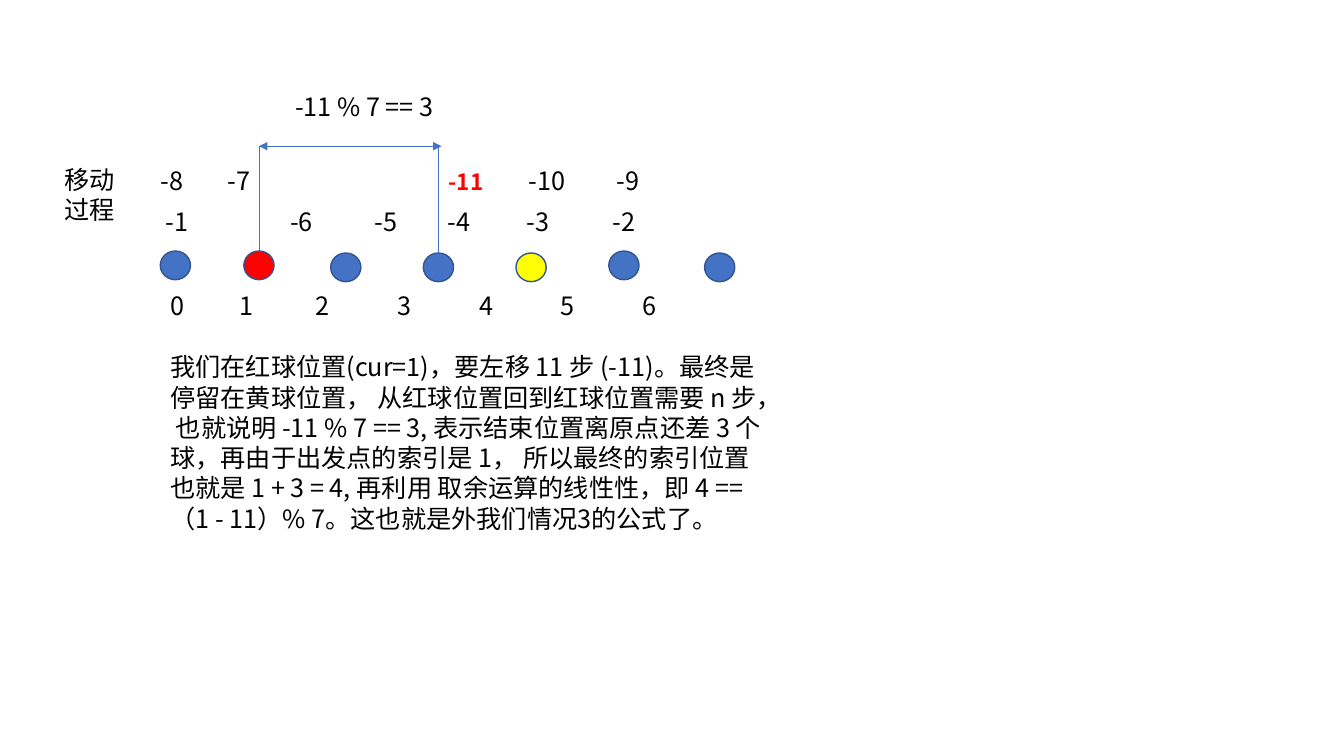
from dataclasses import dataclass

from pptx import Presentation
from pptx import util as u
from pptx.dml.color import RGBColor
from pptx.enum import shapes, text
from pptx.oxml import ns
from pptx.oxml.xmlchemy import OxmlElement

Pt = u.Pt


@dataclass(frozen=True)
class Theme:
    font: str = "Noto Sans CJK SC"
    body: float = 18
    small: float = 16
    ink: str = "000000"
    blue: str = "4472C4"
    outline: str = "325491"
    red: str = "FF0000"
    yellow: str = "FFFF00"


THEME = Theme()
HIGHLIGHT = "-11"
INSET = 7.2

# Left edge, top edge and colour of each ball, by index
BALLS = [
    (114.5, 179.3, THEME.blue),
    (174.2, 179.3, THEME.red),
    (236.2, 180.7, THEME.blue),
    (302.4, 180.7, THEME.blue),
    (368.6, 180.7, THEME.yellow),
    (434.9, 179.3, THEME.blue),
    (503.3, 180.7, THEME.blue),
]

# Box (left, top, width, height) and labels with their centres on the slide
ROWS = [
    ((114.5, 203.8, 431.3, 28.8),
     {"0": 126.4, "1": 176.4, "2": 230.7, "3": 289.3, "4": 347.9,
      "5": 405.7, "6": 464.3}),
    ((91.4, 144, 442.8, 28.8),
     {"-1": 126.4, "-6": 215.4, "-5": 275.7, "-4": 328.2, "-3": 384.3,
      "-2": 445.7}),
    ((95.8, 114.5, 438.5, 28.8),
     {"-8": 122.9, "-7": 171, HIGHLIGHT: 332.9, "-10": 391, "-9": 448.6}),
]

EXPLANATION = (
    "我们在红球位置(cur=1)，要左移 11 步 (-11)。最终是停留在黄球位置， "
    "从红球位置回到红球位置需要 n 步， 也就说明 -11 % 7 == 3, "
    "表示结束位置离原点还差 3 个球，再由于出发点的索引是 1， "
    "所以最终的索引位置也就是 1 + 3 = 4, 再利用 取余运算的线性性，"
    "即 4 ==（1 - 11）% 7。这也就是外我们情况3的公式了。"
)


def color(value):
    return RGBColor.from_string(value)


def format_run(run, size=THEME.body, ink=THEME.ink, bold=False):
    run.font.name = THEME.font
    run.font.size = Pt(size)
    run.font.bold = bold
    run.font.color.rgb = color(ink)
    east_asian = OxmlElement("a:ea")
    east_asian.set("typeface", THEME.font)
    run.font._element.append(east_asian)


def add_box(slide, box, wrap=True):
    """Add an empty text box and return its text frame."""
    frame = slide.shapes.add_textbox(*map(Pt, box)).text_frame
    frame.word_wrap = wrap
    frame.auto_size = text.MSO_AUTO_SIZE.SHAPE_TO_FIT_TEXT
    return frame


def add_text(slide, box, content, wrap=True):
    frame = add_box(slide, box, wrap)
    frame.text = content
    format_run(frame.paragraphs[0].runs[0])


def add_label_row(slide, box, labels):
    """Add one line of labels, each centred on its own tab stop."""
    paragraph = add_box(slide, box).paragraphs[0]
    tab_list = OxmlElement("a:tabLst")
    paragraph._p.get_or_add_pPr().append(tab_list)
    for label, center in labels.items():
        tab = OxmlElement("a:tab")
        tab.set("pos", str(Pt(center - box[0] - INSET)))
        tab.set("algn", "ctr")
        tab_list.append(tab)
        run = paragraph.add_run()
        run.text = "\t" + label
        if label == HIGHLIGHT:
            format_run(run, THEME.small, THEME.red, bold=True)
        else:
            format_run(run)


def add_ball(slide, left, top, fill):
    ball = slide.shapes.add_shape(
        shapes.MSO_SHAPE.FLOWCHART_CONNECTOR,
        Pt(left), Pt(top), Pt(21.6), Pt(20.5))
    ball.shadow.inherit = False
    ball.fill.solid()
    ball.fill.fore_color.rgb = color(fill)
    ball.line.color.rgb = color(THEME.outline)
    ball.line.width = Pt(1)


def add_line(slide, start, end, arrows=False):
    connector = slide.shapes.add_connector(
        shapes.MSO_CONNECTOR.STRAIGHT, *map(Pt, start + end))
    connector.line.color.rgb = color(THEME.blue)
    connector.line.width = Pt(0.5)
    properties = connector.element.spPr
    if arrows:
        line = properties.find(ns.qn("a:ln"))
        for tag in ("a:headEnd", "a:tailEnd"):
            arrowhead = OxmlElement(tag)
            arrowhead.set("type", "triangle")
            line.append(arrowhead)
    properties.append(OxmlElement("a:effectLst"))


def main():
    presentation = Presentation()
    presentation.slide_width, presentation.slide_height = Pt(960), Pt(540)
    slide = presentation.slides.add_slide(presentation.slide_layouts[6])

    for ball in BALLS:
        add_ball(slide, *ball)
    add_text(slide, (114.5, 247.7, 437.8, 138.2), EXPLANATION)
    for box, labels in ROWS:
        add_label_row(slide, box, labels)
    add_text(slide, (38.9, 113.8, 56.9, 51.1), "移动过程")

    span_top, span_left, span_right = 104.4, 185, 313.2
    add_line(slide, (span_left, 179.3), (span_left, span_top))
    add_line(slide, (span_right, 182.9), (span_right, span_top))
    add_line(slide, (span_left, span_top), (315.4, span_top), arrows=True)
    add_text(slide, (203.8, 61.9, 115.2, 28.8), "-11 % 7 == 3", wrap=False)

    presentation.save("out.pptx")


if __name__ == "__main__":
    main()
